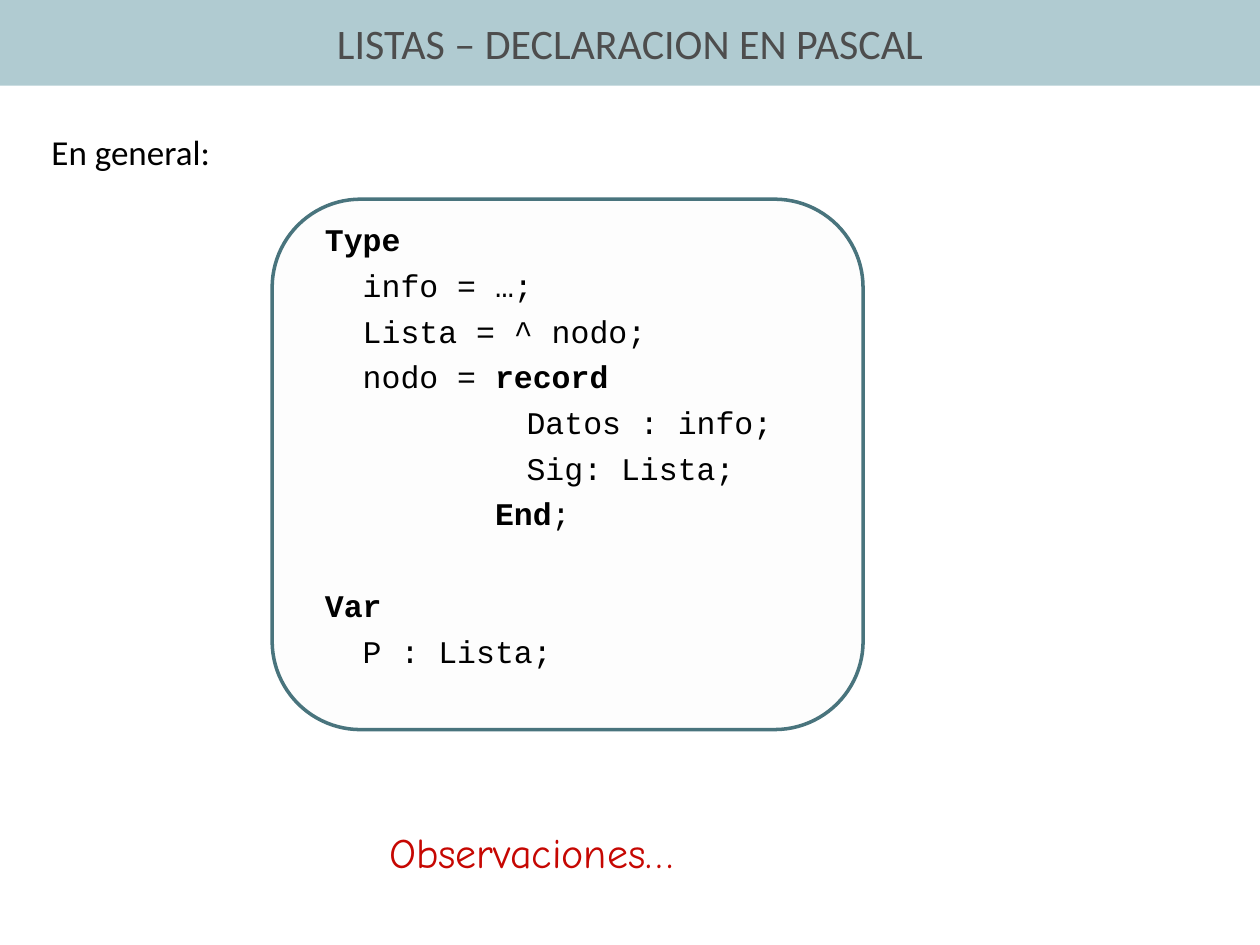
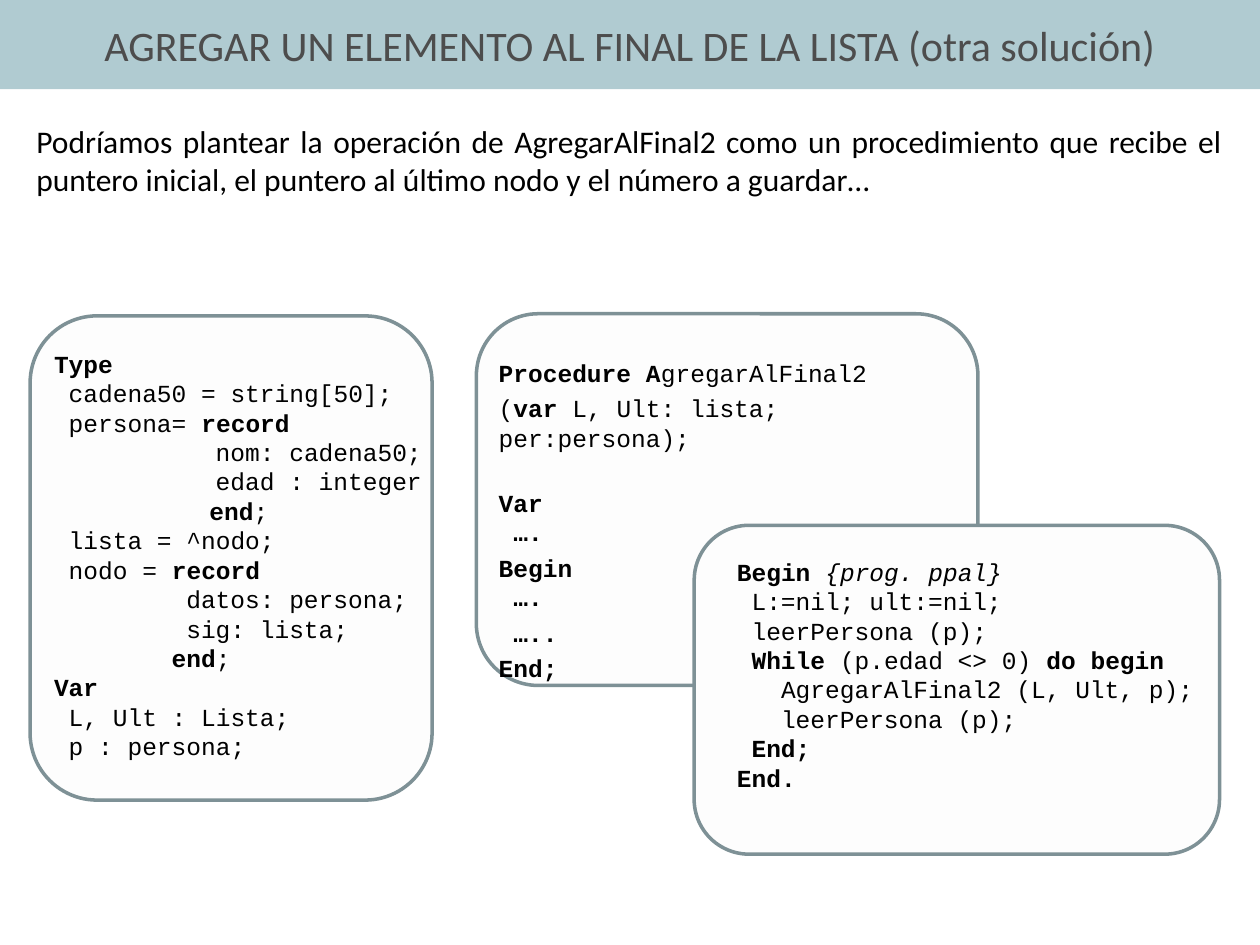
from dataclasses import dataclass

import pptx
import pptx.dml.color
import pptx.enum.shapes
import pptx.enum.text
import pptx.shapes.autoshape
import pptx.slide
import pptx.util

Pt = pptx.util.Pt
RGBColor = pptx.dml.color.RGBColor
Align = pptx.enum.text.PP_ALIGN
Kind = pptx.enum.shapes.MSO_SHAPE

# Shared style
BAND = RGBColor(0xB0, 0xCB, 0xD1)
GREY = RGBColor(0x4D, 0x4D, 0x4D)
PANEL = RGBColor(0xFD, 0xFD, 0xFD)
TEAL = RGBColor(0x49, 0x74, 0x7D)
SLATE = RGBColor(0x7E, 0x91, 0x96)
BLACK = RGBColor(0, 0, 0)
RED = RGBColor(0xC6, 0x07, 0x02)
SANS, MONO, HAND = "Calibri", "Courier New", "Comic Neue"
WIDTH, HEIGHT = 720, 540
LEAD = 1.2   # line height of code, in font sizes
CHAR = 0.6   # character width of code, in font sizes


@dataclass
class Box:
    left: float
    top: float
    width: float
    height: float

    def place(self) -> list[pptx.util.Length]:
        return [Pt(n) for n in (self.left, self.top, self.width, self.height)]


@dataclass
class Line:
    """A line of code; *stars* mark bold, and indent counts characters."""
    text: str
    indent: float = 0
    gap: float = 0


@dataclass
class Code:
    panel: Box
    area: Box
    edge: RGBColor
    size: float
    lines: list[Line]


def style(font: pptx.text.text.Font, name: str, size: float, color: RGBColor) -> None:
    font.name, font.size = name, Pt(size)
    font.color.rgb = color


def draw_shape(slide: pptx.slide.Slide, kind: Kind, box: Box,
               fill: RGBColor) -> pptx.shapes.autoshape.Shape:
    shape = slide.shapes.add_shape(kind, *box.place())
    shape.shadow.inherit = False
    shape.fill.solid()
    shape.fill.fore_color.rgb = fill
    shape.line.fill.background()
    return shape


def draw_band(slide: pptx.slide.Slide, title: str, height: float) -> None:
    band = draw_shape(slide, Kind.RECTANGLE, Box(0, 0, WIDTH, height), BAND)
    band.text_frame.text = title
    para = band.text_frame.paragraphs[0]
    para.alignment = Align.CENTER
    style(para.runs[0].font, SANS, 24, GREY)


def draw_text(slide: pptx.slide.Slide, box: Box, text: str, name: str, size: float,
              color: RGBColor = BLACK, align: Align = Align.LEFT) -> None:
    frame = slide.shapes.add_textbox(*box.place()).text_frame
    frame.word_wrap = True
    frame.text = text
    para = frame.paragraphs[0]
    para.alignment = align
    style(para.runs[0].font, name, size, color)


def draw_code(slide: pptx.slide.Slide, code: Code) -> None:
    panel = draw_shape(slide, Kind.ROUNDED_RECTANGLE, code.panel, PANEL)
    panel.line.color.rgb = code.edge
    panel.line.width = Pt(2)
    frame = slide.shapes.add_textbox(*code.area.place()).text_frame
    frame.word_wrap = True
    for i, line in enumerate(code.lines):
        para = frame.add_paragraph() if i else frame.paragraphs[0]
        para.line_spacing = Pt(LEAD * code.size)
        para.space_before = Pt(line.gap)
        inset = Pt(line.indent * CHAR * code.size)
        para._p.get_or_add_pPr().set("marL", str(int(inset)))
        for j, part in enumerate(line.text.split("*")):
            if part:
                run = para.add_run()
                run.text = part
                style(run.font, MONO, code.size, BLACK)
                run.font.bold = j % 2 == 1
                run.font.italic = part.startswith("{")


deck = pptx.Presentation()
deck.slide_width, deck.slide_height = Pt(WIDTH), Pt(HEIGHT)
blank = deck.slide_layouts[6]

# Slide 1: list declaration
GAP = 4.5
slide = deck.slides.add_slide(blank)
draw_code(slide, Code(
    Box(155.5, 113.8, 337.7, 303.1), Box(178.6, 122.4, 283.7, 290.9), TEAL, 18, [
        Line("*Type*"),
        Line("info = …;", 2, GAP),
        Line("Lista = ^ nodo;", 2, GAP),
        Line("nodo = *record*", 2, GAP),
        Line("Datos : info;", 10.67, GAP),
        Line("Sig: Lista;", 10.67, GAP),
        Line("*End*;", 9, GAP),
        Line("*Var*", 0, 2 * GAP + 18 * LEAD),
        Line("P : Lista;", 2, GAP),
    ]))
draw_text(slide, Box(215.3, 468.7, 247, 36), "Observaciones…", HAND, 24, RED)
draw_text(slide, Box(22.3, 71.3, 118.8, 55.4), "En general:", SANS, 20)
draw_band(slide, "LISTAS – DECLARACION EN PASCAL", 49)

# Slide 2: append at the end
GAP = 3.5
slide = deck.slides.add_slide(blank)
steps = Code(
    Box(272.2, 179.3, 286.6, 212.4), Box(277.9, 200.9, 280.8, 193), SLATE, 14, [
        Line("*Procedure A*gregarAlFinal2"),
        Line("(*var *L, Ult: lista; per:persona);", 0, GAP),
        Line("*Var*", 0, GAP + 14 * LEAD),
        Line("*….*", 1),
        Line("*Begin*", 0, GAP),
        Line("*….*", 1),
        Line("*…..*", 1, GAP),
        Line("*End;*", 0, GAP),
    ])
main = Code(
    Box(396.7, 300.2, 300.2, 187.9), Box(414, 314.6, 289.4, 141.8), SLATE, 14, [
        Line("*Begin *{prog. ppal}"),
        Line("L:=nil; ult:=nil;", 1),
        Line("leerPersona (p);", 1),
        Line("*While *(p.edad <> 0)* do begin*", 1),
        Line("AgregarAlFinal2 (L, Ult, p);", 3),
        Line("leerPersona (p);", 3),
        Line("*End;*", 1),
        Line("*End.*"),
    ])
types = Code(
    Box(17.2, 180.5, 229.7, 276.7), Box(23.8, 195.8, 268.6, 242.6), SLATE, 14, [
        Line("*Type*"),
        Line("cadena50 = string[50];", 1),
        Line("persona= *record*", 1),
        Line("nom: cadena50;", 11),
        Line("edad : integer", 11),
        Line("*end*;", 10.57),
        Line("lista = ^nodo;", 1),
        Line("nodo =* record*", 1),
        Line("datos: persona;", 9),
        Line("sig: lista;", 9),
        Line("*end*;", 8),
        Line("*Var*"),
        Line("L, Ult : Lista;", 1),
        Line("p : persona;", 1),
    ])
draw_code(slide, steps)
draw_text(slide, Box(13.7, 66.2, 692, 50.4),
          "Podríamos plantear la operación de AgregarAlFinal2 como un procedimiento "
          "que recibe el puntero inicial, el puntero al último nodo y el número a guardar…",
          SANS, 18, align=Align.JUSTIFY)
draw_code(slide, main)
draw_code(slide, types)
draw_band(slide, "AGREGAR UN ELEMENTO AL FINAL DE LA LISTA (otra solución)", 51)

deck.save("out.pptx")
